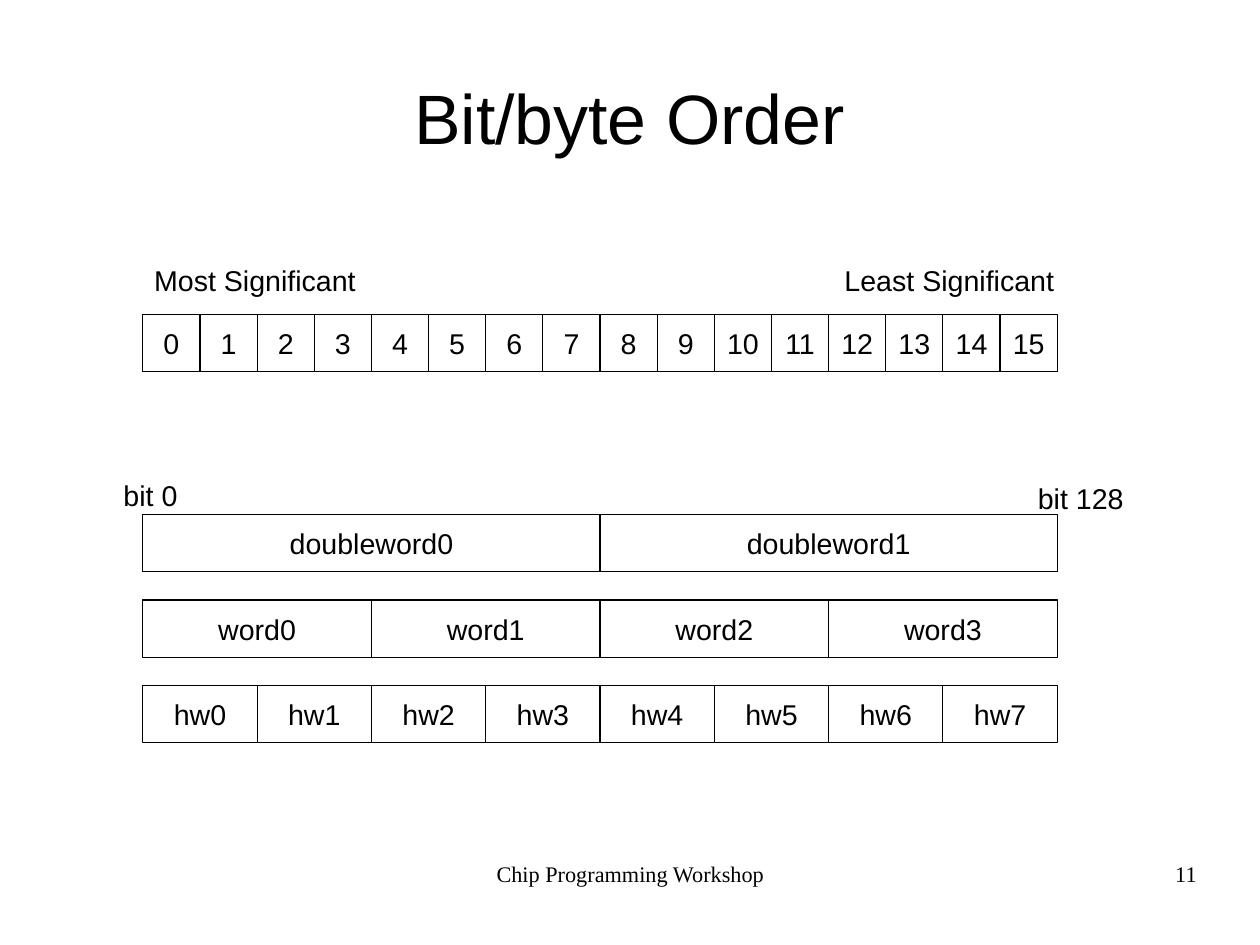
"""Build the Bit/byte Order slide: byte numbering and register subdivisions."""
from pptx import Presentation
from pptx.dml.color import RGBColor
from pptx.enum.shapes import MSO_SHAPE as Shape
from pptx.enum.text import MSO_ANCHOR as Anchor, MSO_AUTO_SIZE as AutoSize, PP_ALIGN as Align
from pptx.util import Cm, Pt

PX = 9144
COLORS = {"ink": "000000", "paper": "FFFFFF"}


def write(box, text, size=18, font="Arial", align=Align.LEFT, anchor=Anchor.TOP,
          inset=(0, 0), wrap=True, fit=AutoSize.NONE):
    frame = box.text_frame
    frame.word_wrap = wrap
    frame.auto_size = fit
    frame.vertical_anchor = anchor
    frame.margin_left = frame.margin_right = inset[0] * PX
    frame.margin_top = frame.margin_bottom = inset[1] * PX
    line = frame.paragraphs[0]
    line.alignment = align
    run = line.add_run()
    run.text = text
    run.font.size = Pt(size)
    run.font.name = font
    run.font.color.rgb = RGBColor.from_string(COLORS["ink"])


def place(left, top, width, height):
    return [length * PX for length in (left, top, width, height)]


prs = Presentation()
prs.slide_width, prs.slide_height = Cm(28), Cm(21)
slide = prs.slides.add_slide(prs.slide_layouts[5])
slide.background.fill.solid()
slide.background.fill.fore_color.rgb = RGBColor.from_string(COLORS["paper"])

title = slide.shapes.title
title.left, title.top, title.width, title.height = place(55, 38, 992, 128)
write(title, "Bit/byte Order", size=44, align=Align.CENTER, anchor=Anchor.MIDDLE)

REGISTER_LEFT, REGISTER_WIDTH, ROW_HEIGHT = 125, 800, 50
rows = [
    (275, "", 16),
    (450, "doubleword", 2),
    (525, "word", 4),
    (600, "hw", 8),
]
for top, unit, count in rows:
    width = REGISTER_WIDTH // count
    for index in range(count):
        cell = slide.shapes.add_shape(
            Shape.RECTANGLE, *place(REGISTER_LEFT + index * width, top, width, ROW_HEIGHT))
        cell.shadow.inherit = False
        cell.fill.solid()
        cell.fill.fore_color.rgb = RGBColor.from_string(COLORS["paper"])
        cell.line.color.rgb = RGBColor.from_string(COLORS["ink"])
        cell.line.width = Pt(0.71)
        write(cell, f"{unit}{index}", align=Align.CENTER, anchor=Anchor.MIDDLE, inset=(8, 3))

end_labels = [
    ("Most Significant", (125, 225, 199, 38), (10, 5)),
    ("Least Significant", (729, 225, 206, 38), (10, 5)),
    ("bit 0", (100, 415, 65, 35), (8, 3)),
    ("bit 128", (900, 418, 99, 35), (8, 3)),
]
for text, bounds, inset in end_labels:
    label = slide.shapes.add_textbox(*place(*bounds))
    write(label, text, inset=inset, wrap=False, fit=AutoSize.SHAPE_TO_FIT_TEXT)

footers = [
    ("Chip Programming Workshop", (377, 753, 349, 57), Align.CENTER),
    ("11", (790, 753, 257, 57), Align.RIGHT),
]
for text, bounds, align in footers:
    footer = slide.shapes.add_textbox(*place(*bounds))
    write(footer, text, size=14, font="Times New Roman", align=align)

prs.save("out.pptx")
